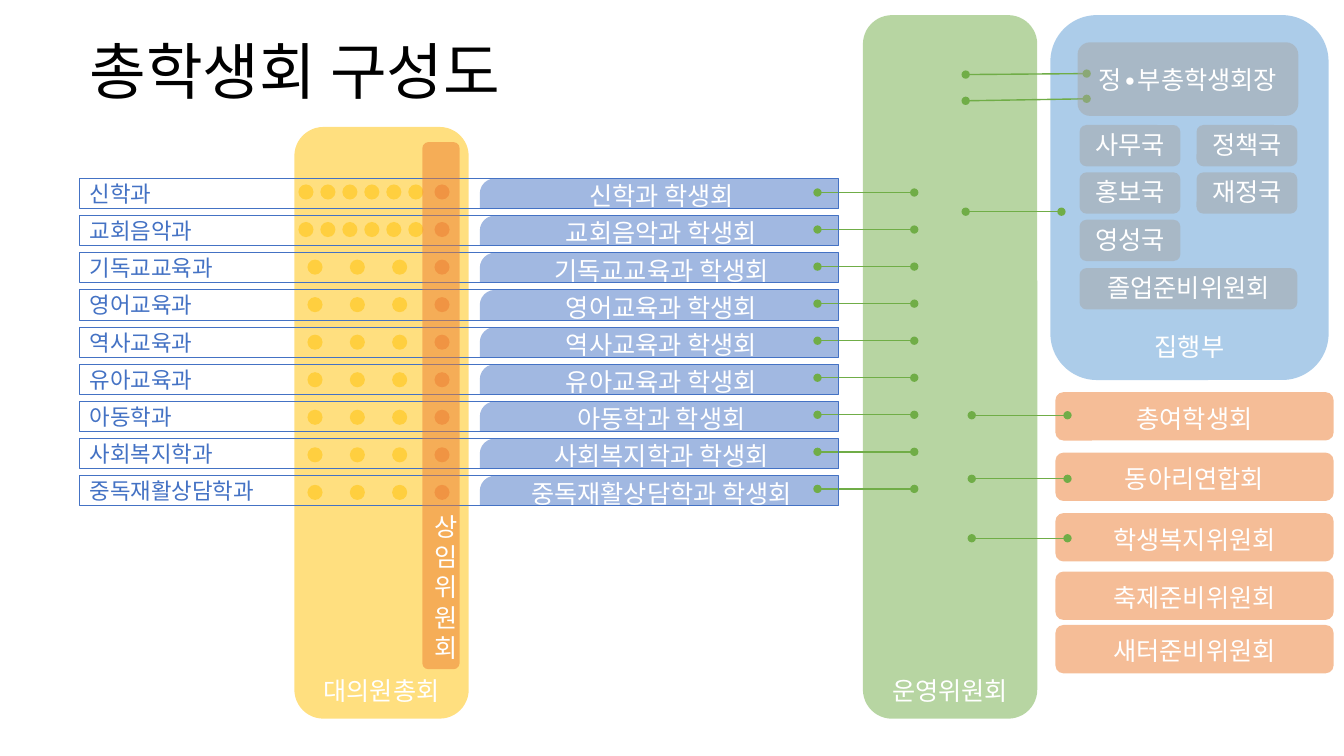
from dataclasses import dataclass

from lxml import etree
from pptx import Presentation
from pptx.dml.color import RGBColor
from pptx.enum.shapes import MSO_CONNECTOR, MSO_SHAPE
from pptx.enum.text import MSO_ANCHOR, PP_ALIGN
from pptx.oxml.ns import qn
from pptx.util import Inches, Pt

ROUND = MSO_SHAPE.ROUNDED_RECTANGLE
SNIP = MSO_SHAPE.SNIP_ROUND_RECTANGLE
RECT = MSO_SHAPE.RECTANGLE
OVAL = MSO_SHAPE.OVAL
STRAIGHT = MSO_CONNECTOR.STRAIGHT
TOP, MIDDLE, BOTTOM = MSO_ANCHOR.TOP, MSO_ANCHOR.MIDDLE, MSO_ANCHOR.BOTTOM
LEFT, CENTER = PP_ALIGN.LEFT, PP_ALIGN.CENTER

FONT = "Calibri"
WHITE, BLACK = "FFFFFF", "000000"
GREEN, YELLOW, BLUE = "70AD47", "FFC000", "4472C4"
SKY, ORANGE, GRAY = "5B9BD5", "ED7D31", "A5A5A5"

COLUMNS, ROWS = 133.33, 75
DOT = 1.5

deck = Presentation()
deck.slide_width, deck.slide_height = Inches(13.33), Inches(7.5)
page = deck.slides.add_slide(deck.slide_layouts[6])


@dataclass
class Area:
    column: float
    row: float
    columns: float
    rows: float


@dataclass
class Panel:
    area: Area
    color: str
    label: str = ""
    anchor: MSO_ANCHOR = BOTTOM
    kind: MSO_SHAPE = ROUND


@dataclass
class Link:
    start: float
    start_row: float
    end: float
    end_row: float


def across(columns: float) -> int:
    return round(deck.slide_width * columns / COLUMNS)


def down(rows: float) -> int:
    return round(deck.slide_height * rows / ROWS)


def place(area: Area) -> tuple[int, int, int, int]:
    return across(area.column), down(area.row), across(area.columns), down(area.rows)


def spread(first: float, last: float, count: int) -> list[float]:
    return [first + (last - first) * step / (count - 1) for step in range(count)]


def rgb(color: str) -> RGBColor:
    return RGBColor.from_string(color)


def write(box, text: str, size: float, color: str, align: PP_ALIGN, anchor: MSO_ANCHOR):
    frame = box.text_frame
    frame.text = text
    frame.word_wrap = True
    frame.vertical_anchor = anchor
    para = frame.paragraphs[0]
    para.alignment = align
    for span in para.runs:
        span.font.name, span.font.size = FONT, Pt(size)
        span.font.color.rgb = rgb(color)
    return para


def draw_panel(panel: Panel) -> None:
    box = page.shapes.add_shape(panel.kind, *place(panel.area))
    box.shadow.inherit = False
    box.fill.solid()
    box.fill.fore_color.rgb = rgb(panel.color)
    tint = box.fill._xPr.find(qn("a:solidFill"))[0]
    etree.SubElement(tint, qn("a:alpha")).set("val", "50000")
    box.line.fill.background()
    if panel.kind == SNIP:
        box.adjustments[0], box.adjustments[1] = 0.5, 0
    if panel.label:
        write(box, panel.label, 18, WHITE, CENTER, panel.anchor)


def draw_frame(area: Area, label: str) -> None:
    box = page.shapes.add_shape(RECT, *place(area))
    box.shadow.inherit = False
    box.fill.background()
    box.line.color.rgb = rgb(BLUE)
    box.line.width = Pt(0.75)
    write(box, label, 16, BLUE, LEFT, MIDDLE)


def draw_link(link: Link) -> None:
    line = page.shapes.add_connector(
        STRAIGHT, across(link.start), down(link.start_row), across(link.end), down(link.end_row))
    line.line.color.rgb = rgb(GREEN)
    line.line.width = Pt(1)
    outline = line.line._get_or_add_ln()
    for end in ("a:headEnd", "a:tailEnd"):
        etree.SubElement(outline, qn(end)).set("type", "oval")
    etree.SubElement(line._element.spPr, qn("a:effectLst"))


departments = ["신학과", "교회음악과", "기독교교육과", "영어교육과", "역사교육과",
               "유아교육과", "아동학과", "사회복지학과", "중독재활상담학과"]
count = len(departments)
department_rows = spread(17.7, 47.2, count)
dot_rows = spread(18.3, 48.1, count)
link_rows = spread(19.1, 48.5, count)
large_delegation = spread(29.6, 40.5, 6)
small_delegation = spread(30.5, 38.9, 3)

title = page.shapes.add_textbox(*place(Area(7.9, 3, 48.3, 8.8)))
write(title, "총학생회 구성도", 44, BLACK, LEFT, MIDDLE).line_spacing = 0.9

draw_panel(Panel(Area(85.6, 1.5, 17.3, 69.8), GREEN, "운영위원회"))
draw_panel(Panel(Area(29.2, 12.6, 17.3, 58.7), YELLOW, "대의원총회"))

for department, row in zip(departments, department_rows):
    draw_panel(Panel(Area(47.6, row, 35.6, 3), BLUE, f"{department} 학생회", MIDDLE, SNIP))
for row in link_rows:
    draw_link(Link(81.1, row, 90.7, row))

draw_panel(Panel(Area(104.2, 1.5, 27.6, 36.2), SKY, "집행부"))
for link in (Link(95.8, 7.4, 107.8, 7.3), Link(95.8, 10, 107.8, 9.8), Link(95.8, 21, 105.3, 21)):
    draw_link(link)

committees = {"총여학생회": 38.9, "동아리연합회": 44.9, "학생복지위원회": 50.9,
              "축제준비위원회": 56.7, "새터준비위원회": 62}
for label, row in committees.items():
    draw_panel(Panel(Area(104.7, row, 27.6, 4.8), ORANGE, label))
for row in (41.2, 47.5, 53.4):
    draw_link(Link(96.4, row, 105.9, row))

for department, row in zip(departments, department_rows):
    draw_frame(Area(7.9, row, 75.3, 3), department)

for index, row in enumerate(dot_rows):
    for column in large_delegation if index < 2 else small_delegation:
        draw_panel(Panel(Area(column, row, DOT, DOT), YELLOW, kind=OVAL))
    draw_panel(Panel(Area(43.1, row, DOT, DOT), ORANGE, kind=OVAL))
draw_panel(Panel(Area(41.9, 14.1, 3.7, 52.3), ORANGE, "상임위원회"))

bureaus = ["사무국", "정책국", "홍보국", "재정국", "영성국"]
for index, bureau in enumerate(bureaus):
    line, side = divmod(index, 2)
    draw_panel(Panel(Area(107.1 + 11.6 * side, 12.4 + 4.7 * line, 10, 4.1), GRAY, bureau))
draw_panel(Panel(Area(107.1, 26.6, 21.6, 4.1), GRAY, "졸업준비위원회"))
draw_panel(Panel(Area(106.9, 4.2, 21.9, 7.3), GRAY, "정∙부총학생회장", MIDDLE))

deck.save("out.pptx")
